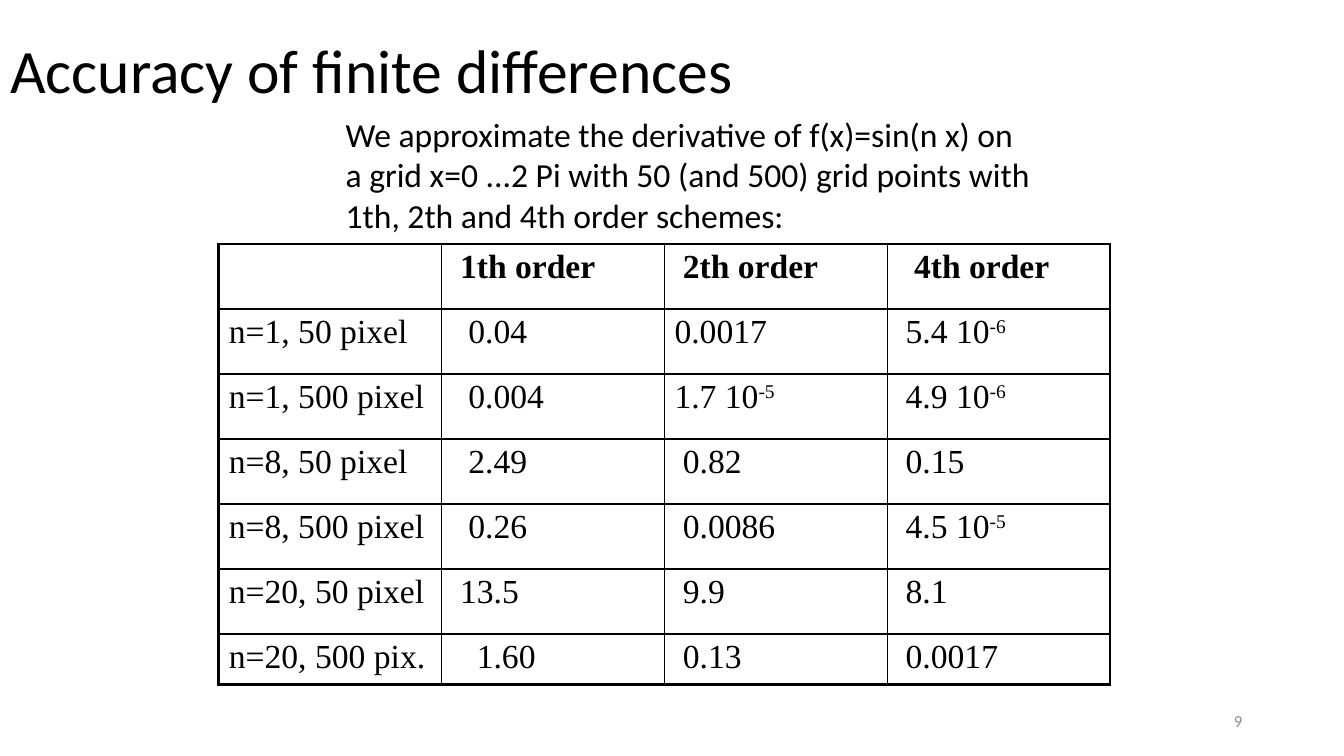
from lxml import etree
from pptx import Presentation
from pptx.dml.color import RGBColor
from pptx.enum.text import MSO_ANCHOR, MSO_AUTO_SIZE, PP_ALIGN
from pptx.oxml.ns import qn
from pptx.util import Inches, Pt

MIDDLE = MSO_ANCHOR.MIDDLE
LEFT, RIGHT = PP_ALIGN.LEFT, PP_ALIGN.RIGHT
GROW = MSO_AUTO_SIZE.SHAPE_TO_FIT_TEXT

# Content
TITLE = "Accuracy of finite differences"
INTRO = [
    "We approximate the derivative of f(x)=sin(n x) on",
    "a grid x=0 ...2 Pi with 50 (and 500) grid points with",
    "1th, 2th and 4th order schemes:",
]
PAGE = "9"
# "^" starts a superscript
ROWS = [
    ["", "1th order", "2th order", "4th order"],
    ["n=1, 50 pixel", "0.04", "0.0017", "5.4 10^-6"],
    ["n=1, 500 pixel", "0.004", "1.7 10^-5", "4.9 10^-6"],
    ["n=8, 50 pixel", "2.49", "0.82", "0.15"],
    ["n=8, 500 pixel", "0.26", "0.0086", "4.5 10^-5"],
    ["n=20, 50 pixel", "13.5", "9.9", "8.1"],
    ["n=20, 500 pix.", "1.60", "0.13", "0.0017"],
]
# Indent steps of each cell
STEPS = [
    (0, 1, 1, 2),
    (0, 2, 0, 1),
    (0, 2, 0, 1),
    (0, 2, 1, 1),
    (0, 2, 1, 1),
    (0, 1, 1, 1),
    (0, 3, 1, 1),
]


class Theme:
    ink = RGBColor(0x00, 0x00, 0x00)
    gray = RGBColor(0x8C, 0x8C, 0x8C)
    sans, serif = "Calibri", "Times New Roman"
    title, body, page = Pt(44), Pt(24), Pt(12)
    thin, thick = Pt(1), Pt(2.25)


PAD, STEP = 0.1, 0.083
COL_W, ROW_H, LAST_H = 2.21, 0.645, 0.49


def style(font, size, face=Theme.sans, color=Theme.ink, bold=False):
    font.size, font.name, font.bold = size, face, bold
    font.color.rgb = color


def border(cell, side, width):
    line = etree.SubElement(cell._tc.get_or_add_tcPr(), qn("a:ln" + side), w=str(int(width)))
    fill = etree.SubElement(line, qn("a:solidFill"))
    etree.SubElement(fill, qn("a:srgbClr"), val=str(Theme.ink))


def add_title(slide):
    box = slide.shapes.title
    box.left, box.top, box.width, box.height = 0, 0, Inches(11.5), Inches(1.45)
    frame = box.text_frame
    frame.text = TITLE
    frame.vertical_anchor = MIDDLE
    par = frame.paragraphs[0]
    par.alignment, par.line_spacing = LEFT, 0.9
    style(par.runs[0].font, Theme.title)


def add_text(slide, spot, lines, size, color, align):
    frame = slide.shapes.add_textbox(*map(Inches, spot)).text_frame
    frame.text = "\n".join(lines)
    for par in frame.paragraphs:
        par.alignment = align
        style(par.runs[0].font, size, color=color)
    return frame


def fill_cell(cell, text, steps, bold):
    cell.margin_left = Inches(PAD + steps * STEP)
    base, _, power = text.partition("^")
    par = cell.text_frame.paragraphs[0]
    par.text = base
    if power:
        par.add_run().text = power
    for run in par.runs:
        style(run.font, Theme.body, Theme.serif, bold=bold)
    if power:
        par.runs[1].font._element.set("baseline", "30000")


def add_grid(slide):
    rows, cols = len(ROWS), len(ROWS[0])
    high = ROW_H * (rows - 1) + LAST_H
    spot = map(Inches, (2.17, 2.42, COL_W * cols, high))
    table = slide.shapes.add_table(rows, cols, *spot).table
    table.first_row = table.horz_banding = False
    for col in table.columns:
        col.width = Inches(COL_W)
    for r, row in enumerate(table.rows):
        row.height = Inches(ROW_H if r < rows - 1 else LAST_H)
        for c, cell in enumerate(row.cells):
            fill_cell(cell, ROWS[r][c], STEPS[r][c], bold=r == 0)
            # Thick frame, thin inner lines
            edges = {"L": c == 0, "R": c == cols - 1, "T": r == 0, "B": r == rows - 1}
            for side, outer in edges.items():
                border(cell, side, Theme.thick if outer else Theme.thin)
            cell.fill.background()


def main():
    deck = Presentation()
    deck.slide_width, deck.slide_height = Inches(13.33), Inches(7.5)
    slide = deck.slides.add_slide(deck.slide_layouts[5])

    add_title(slide)
    # Page number
    page = add_text(slide, (9.42, 6.95, 3, 0.4), [PAGE], Theme.page, Theme.gray, RIGHT)
    page.word_wrap, page.vertical_anchor = True, MIDDLE
    # Introduction
    intro = add_text(slide, (3.33, 1.08, 7.04, 1.31), INTRO, Theme.body, Theme.ink, LEFT)
    intro.word_wrap, intro.auto_size = False, GROW
    add_grid(slide)

    deck.save("out.pptx")


if __name__ == "__main__":
    main()
